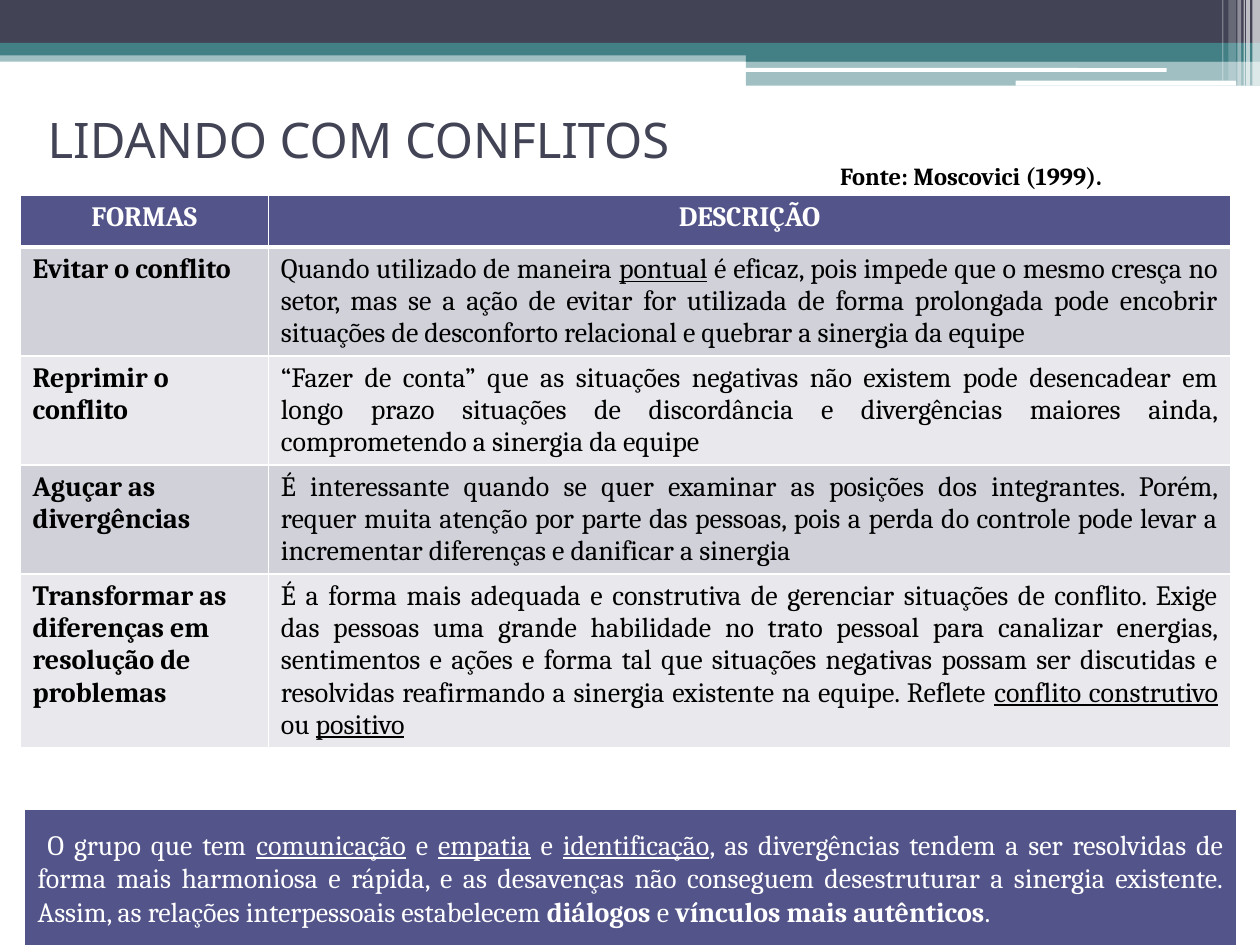
import pptx
import pptx.util
import pptx.dml.color
import pptx.enum.shapes
import pptx.enum.text
import pptx.oxml
import pptx.oxml.ns

Inches = pptx.util.Inches
Pt = pptx.util.Pt
RGB = pptx.dml.color.RGBColor.from_string
Kind = pptx.enum.shapes.MSO_SHAPE
Align = pptx.enum.text.PP_ALIGN
Anchor = pptx.enum.text.MSO_ANCHOR

theme = {
    "dark": "424456", "teal": "438086", "white": "FFFFFF", "black": "000000",
    "blue": "53548A", "bands": ("D1D1DA", "E9E9ED"),
    "body": "Cambria", "head": "Noto Sans",
    "title": 28, "text": 16, "note": 14,
}


def write(frame, text, color, size=theme["text"], face=theme["body"],
          align=Align.LEFT, bold=False):
    """Fill a frame with one paragraph; _x_ is underlined and *x* is bold."""
    frame.word_wrap = True
    para = frame.paragraphs[0]
    para.alignment = align
    for i, part in enumerate(text.split("*")):
        for j, piece in enumerate(part.split("_")):
            if not piece:
                continue
            run = para.add_run()
            run.text = piece
            form = {"size": Pt(size), "name": face,
                    "bold": bold or i % 2 == 1, "underline": j % 2 == 1}
            for key, value in form.items():
                setattr(run.font, key, value)
            run.font.color.rgb = RGB(color)


def block(kind, box, color, alpha=100):
    """Add a plain filled shape, with alpha as percent opaque."""
    shape = slide.shapes.add_shape(kind, *map(Inches, box))
    shape.shadow.inherit = False
    shape.fill.solid()
    shape.fill.fore_color.rgb = RGB(color)
    shape.line.fill.background()
    if alpha < 100:
        tint = shape.fill._xPr.find(".//" + pptx.oxml.ns.qn("a:srgbClr"))
        tint.append(pptx.oxml.parse_xml(
            f'<a:alpha {pptx.oxml.ns.nsdecls("a")} val="{alpha * 1000}"/>'))
    return shape


deck = pptx.Presentation()
deck.slide_width, deck.slide_height = Inches(10), Inches(7.5)
slide = deck.slides.add_slide(deck.slide_layouts[6])

# Top banner
bands = [
    ((0, 0.4, 10, 0.09), "teal", 50),
    ((0, 0, 10, 0.34), "dark", 100),
    ((0, 0.34, 10, 0.1), "teal", 100),
    ((5.92, 0.39, 4.08, 0.1), "teal", 100),
    ((5.92, 0.48, 4.08, 0.2), "teal", 50),
]
for box, color, alpha in bands:
    block(Kind.RECTANGLE, box, theme[color], alpha)

for box in [(5.91, 0.54, 3.35, 0.03), (8.06, 0.64, 1.75, 0.04)]:
    block(Kind.ROUNDED_RECTANGLE, box, theme["white"])

stripes = [
    (9.94, 0.06, 0.68, 65), (9.89, 0.03, 0.68, 65), (9.87, 0.01, 0.68, 60),
    (9.82, 0.03, 0.68, 40), (9.75, 0.06, 0.64, 20), (9.7, 0.01, 0.64, 30),
]
for left, width, height, alpha in stripes:
    block(Kind.RECTANGLE, (left, 0, width, height), theme["white"], alpha)

# Table of ways to handle conflict
rows = [
    ("FORMAS", "DESCRIÇÃO"),
    ("Evitar o conflito",
     "Quando utilizado de maneira _pontual_ é eficaz, pois impede que o mesmo "
     "cresça no setor, mas se a ação de evitar for utilizada de forma "
     "prolongada pode encobrir situações de desconforto relacional e quebrar "
     "a sinergia da equipe"),
    ("Reprimir o conflito",
     "“Fazer de conta” que as situações negativas não existem pode "
     "desencadear em longo prazo situações de discordância e divergências "
     "maiores ainda, comprometendo a sinergia da equipe"),
    ("Aguçar as divergências",
     "É interessante quando se quer examinar as posições dos integrantes. "
     "Porém, requer muita atenção por parte das pessoas, pois a perda do "
     "controle pode levar a incrementar diferenças e danificar a sinergia"),
    ("Transformar as diferenças em resolução de problemas",
     "É a forma mais adequada e construtiva de gerenciar situações de "
     "conflito. Exige das pessoas uma grande habilidade no trato pessoal para "
     "canalizar energias, sentimentos e ações e forma tal que situações "
     "negativas possam ser discutidas e resolvidas reafirmando a sinergia "
     "existente na equipe. Reflete _conflito construtivo_ ou _positivo_"),
]
widths = (1.97, 7.64)
heights = (0.41, 0.86, 0.86, 0.86, 1.37)
grid = slide.shapes.add_table(
    len(rows), len(widths), Inches(0.16), Inches(1.55),
    Inches(sum(widths)), Inches(sum(heights))).table
for col, width in zip(grid.columns, widths):
    col.width = Inches(width)
for row, height in zip(grid.rows, heights):
    row.height = Inches(height)

for r, row in enumerate(rows):
    for c, text in enumerate(row):
        cell = grid.cell(r, c)
        top = r == 0
        align = Align.CENTER if top else (Align.LEFT, Align.JUSTIFY)[c]
        write(cell.text_frame, text, theme["white" if top else "black"],
              align=align, bold=top or c == 0)
        edges = {"lnL": 1, "lnR": 1, "lnT": 3 if r == 1 else 1,
                 "lnB": 3 if top else 1}
        for tag, points in edges.items():
            cell._tc.get_or_add_tcPr().append(pptx.oxml.parse_xml(
                f'<a:{tag} {pptx.oxml.ns.nsdecls("a")} w="{Pt(points)}">'
                f'<a:solidFill><a:srgbClr val="{theme["white"]}"/>'
                f'</a:solidFill></a:{tag}>'))
        cell.fill.solid()
        cell.fill.fore_color.rgb = RGB(
            theme["blue"] if top else theme["bands"][(r - 1) % 2])

# Source and title
note = slide.shapes.add_textbox(*map(Inches, (6.57, 1.23, 3.23, 0.34)))
write(note.text_frame, "Fonte: Moscovici (1999).", theme["black"],
      theme["note"], bold=True)
title = slide.shapes.add_textbox(*map(Inches, (0.28, 0.52, 9, 1.17)))
title.text_frame.vertical_anchor = Anchor.MIDDLE
write(title.text_frame, "LIDANDO COM CONFLITOS", theme["dark"],
      theme["title"], theme["head"])

# Closing message
close = block(Kind.RECTANGLE, (0.2, 6.43, 9.61, 1.07), theme["blue"])
close.text_frame.vertical_anchor = Anchor.MIDDLE
write(close.text_frame,
      " O grupo que tem _comunicação_ e _empatia_ e _identificação_, as "
      "divergências tendem a ser resolvidas de forma mais harmoniosa e "
      "rápida, e as desavenças não conseguem desestruturar a sinergia "
      "existente. Assim, as relações interpessoais estabelecem *diálogos* e "
      "*vínculos mais autênticos*.", theme["white"], align=Align.JUSTIFY)

deck.save("out.pptx")
